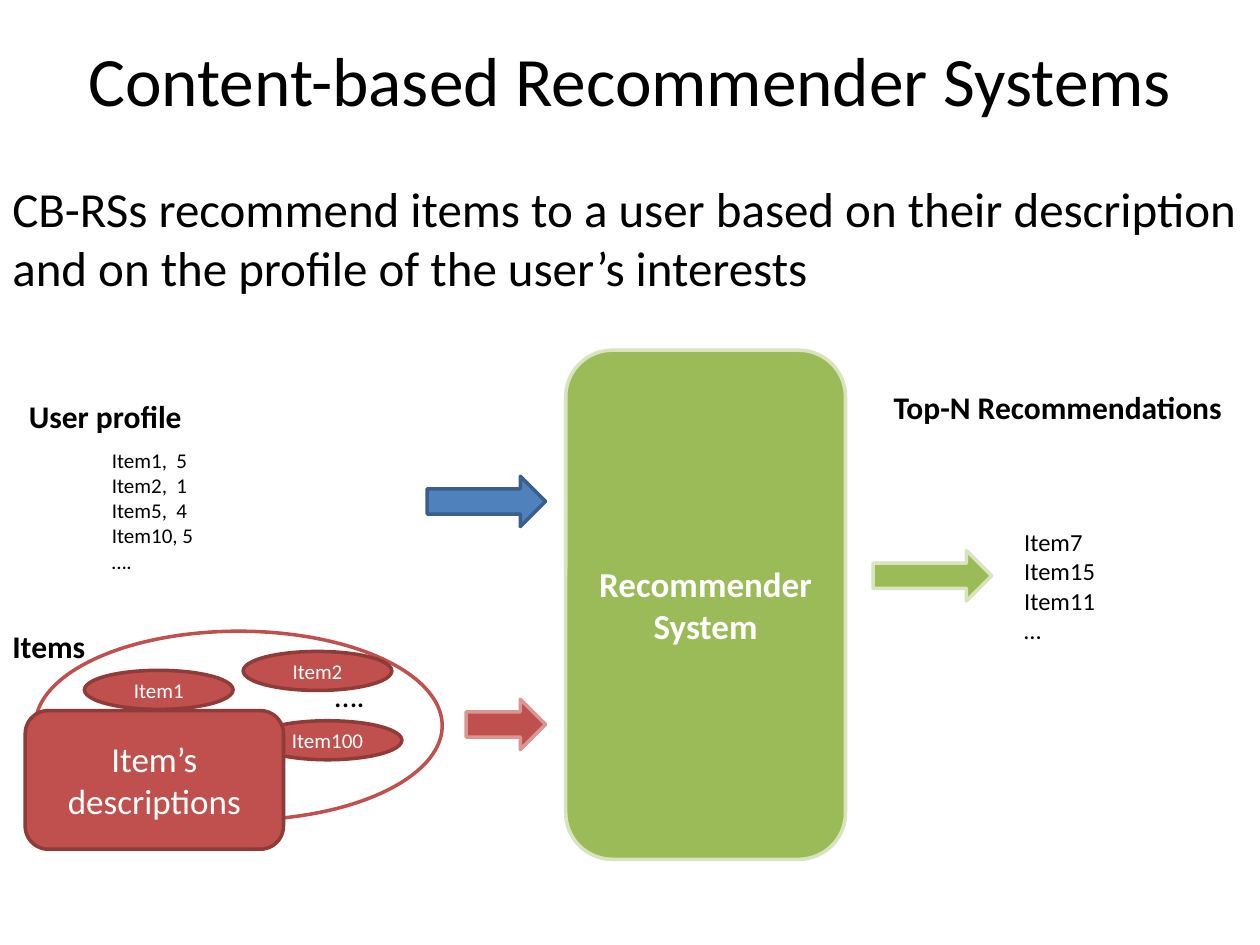
from pptx import Presentation
from pptx import util as u
from pptx.dml.color import RGBColor
from pptx.enum import shapes, text

COLORS = {
    "black": "000000", "white": "FFFFFF",
    "green": "9BBB59", "pale_green": "D7E4BD",
    "blue": "4F81BD", "dark_blue": "3A5F8C",
    "red": "C0504D", "pale_red": "D99694", "dark_red": "8E3B39",
}
COLUMNS, ROWS = 100, 75
WIDTH, HEIGHT = u.Inches(10), u.Inches(7.5)
LEFT, CENTER = text.PP_ALIGN.LEFT, text.PP_ALIGN.CENTER
TOP, MIDDLE = text.MSO_ANCHOR.TOP, text.MSO_ANCHOR.MIDDLE
KIND = shapes.MSO_SHAPE


def color(name):
    """Return the named colour."""
    return RGBColor.from_string(COLORS[name])


def place(col, row, cols, rows):
    """Turn a grid cell range into left, top, width and height."""
    x, y = WIDTH / COLUMNS, HEIGHT / ROWS
    return int(col * x), int(row * y), int(cols * x), int(rows * y)


def write(sp, lines, size, ink, align, anchor, bold=False, wrap=True):
    """Fill a shape with one paragraph per line."""
    tf = sp.text_frame
    tf.word_wrap = wrap
    tf.vertical_anchor = anchor
    for i, line in enumerate(lines):
        p = tf.add_paragraph() if i else tf.paragraphs[0]
        p.text = line
        p.alignment = align
        p.font.name = "Calibri"
        p.font.size = u.Pt(size)
        p.font.bold = bold
        p.font.color.rgb = color(ink)


def add_label(s, cell, line, size=18, align=LEFT, anchor=TOP, bold=False, wrap=True):
    """Add a text box holding one paragraph."""
    sp = s.shapes.add_textbox(*place(*cell))
    write(sp, [line], size, "black", align, anchor, bold, wrap)


def add_block(s, kind, cell, fill, line):
    """Add a filled and outlined preset shape."""
    sp = s.shapes.add_shape(kind, *place(*cell))
    sp.shadow.inherit = False
    sp.fill.solid()
    sp.fill.fore_color.rgb = color(fill)
    sp.line.color.rgb = color(line)
    sp.line.width = u.Pt(2)
    return sp


def add_list(s, cell, lines, size):
    """Add a white panel listing items."""
    sp = add_block(s, KIND.RECTANGLE, cell, "white", "white")
    write(sp, lines, size, "black", LEFT, MIDDLE)


def add_node(s, kind, cell, fill, line, label, size, bold=False):
    """Add a coloured shape with a centred white label."""
    sp = add_block(s, kind, cell, fill, line)
    write(sp, [label], size, "white", CENTER, MIDDLE, bold)


def add_arrow(s, col, row, cols, fill, line):
    """Add a block arrow pointing right."""
    add_block(s, KIND.RIGHT_ARROW, (col, row, cols, 4), fill, line)


def add_inputs(s):
    """Add the user profile and the set of items."""
    add_label(s, (1.3, 31, 14.2, 4), "User profile", bold=True)
    add_list(s, (7.9, 35.8, 11, 9.4),
             ["Item1,  5", "Item2,  1", "Item5,  4", "Item10, 5", "…."], 12)
    add_label(s, (0, 49.3, 19.7, 4), "Items", bold=True)
    add_block(s, KIND.OVAL, (2.8, 50.1, 32.3, 15), "white", "red")
    for label, col, row in (("Item1", 6.7, 53.2), ("Item2", 19.3, 51.7),
                            ("Item100", 20.1, 57.2)):
        add_node(s, KIND.OVAL, (col, row, 11.8, 3.1), "red", "dark_red", label, 12)
    add_node(s, KIND.ROUNDED_RECTANGLE, (2, 56.4, 20.5, 11),
             "red", "dark_red", "Item’s descriptions", 20)
    add_label(s, (25.6, 53.2, 4.4, 4), "….", wrap=False)


def add_outputs(s):
    """Add the list of recommendations."""
    add_list(s, (80.3, 39, 11.8, 15), ["Item7", "Item15", "Item11", "…"], 14)
    add_label(s, (68.7, 30.3, 30.5, 4), "Top-N Recommendations",
              align=CENTER, bold=True)


def main():
    """Build the slide and save it."""
    prs = Presentation()
    prs.slide_width, prs.slide_height = WIDTH, HEIGHT
    s = prs.slides.add_slide(prs.slide_layouts[6])
    add_label(s, (5, 0, 90, 12.5), "Content-based Recommender Systems",
              39.6, CENTER, MIDDLE)
    add_label(s, (0, 13.7, 100, 10.4),
              "CB-RSs recommend items to a user based on their description "
              "and on the profile of the user’s interests", 28)
    add_node(s, KIND.ROUNDED_RECTANGLE, (44.9, 27.8, 22.2, 40.4),
             "green", "pale_green", "Recommender System", 20, True)
    add_outputs(s)
    add_inputs(s)
    add_arrow(s, 33.9, 37.8, 9.4, "blue", "dark_blue")
    add_arrow(s, 37, 55.5, 6.3, "red", "pale_red")
    add_arrow(s, 69.3, 43.7, 9.4, "green", "pale_green")
    prs.save("out.pptx")


if __name__ == "__main__":
    main()
